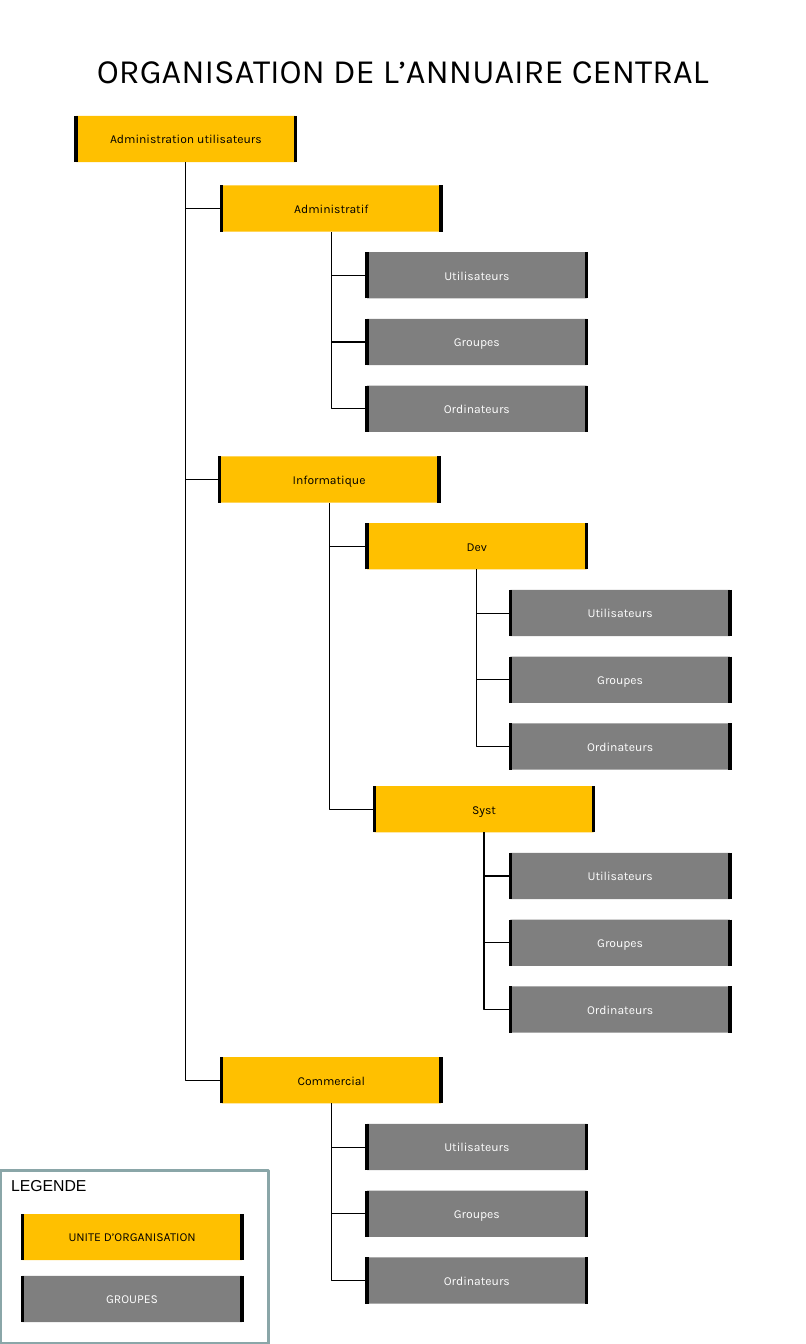
from pptx import Presentation
from pptx.dml.color import RGBColor
from pptx.enum.shapes import MSO_CONNECTOR as Link, MSO_SHAPE as Preset
from pptx.enum.text import MSO_ANCHOR as Anchor, PP_ALIGN as Align
from pptx.oxml.ns import qn
from pptx.util import Cm, Pt
from lxml.etree import SubElement

BLACK = RGBColor(0x00, 0x00, 0x00)
WHITE = RGBColor(0xFF, 0xFF, 0xFF)
AMBER = RGBColor(0xFF, 0xC0, 0x00)
TEAL = RGBColor(0x8A, 0xA6, 0xA8)

# Lengths in centimetres
BOX_WIDTH, BOX_HEIGHT, ROW_STEP = 4.9, 1.03, 1.49
GROUP_NAMES = ("Utilisateurs", "Groupes", "Ordinateurs")


def write(shape, text, size=7.7, font="Karla", color=BLACK,
          align=Align.CENTER, anchor=Anchor.MIDDLE, wrap=False, margins=None):
    frame = shape.text_frame
    frame.word_wrap = wrap
    frame.vertical_anchor = anchor
    if margins:
        frame.margin_left = frame.margin_right = Cm(margins[0])
        frame.margin_top = frame.margin_bottom = Cm(margins[1])
    paragraph = frame.paragraphs[0]
    paragraph.alignment = align
    run = paragraph.add_run()
    run.text = text
    run.font.size = Pt(size)
    run.font.name = font
    run.font.color.rgb = color


class Chart:
    """Holds the current slide and draws each kind of element on it."""

    def __init__(self, slide):
        self.slide = slide

    def shape(self, preset, left, top, width, height, fill, line, weight):
        shape = self.slide.shapes.add_shape(
            preset, Cm(left), Cm(top), Cm(width), Cm(height))
        shape.shadow.inherit = False
        shape.fill.solid()
        shape.fill.fore_color.rgb = fill
        shape.line.color.rgb = line
        shape.line.width = Pt(weight)
        return shape

    def label(self, text, left, top, width, height, **style):
        box = self.slide.shapes.add_textbox(
            Cm(left), Cm(top), Cm(width), Cm(height))
        write(box, text, **style)

    def box(self, text, left, top, fill, color):
        shape = self.shape(Preset.DOUBLE_BRACKET, left, top,
                           BOX_WIDTH, BOX_HEIGHT, fill, BLACK, 2.25)
        shape.adjustments[0] = 0
        write(shape, text, color=color, margins=(0.05, 0.03))
        return shape

    def unit(self, text, left, top):
        self.box(text, left, top, AMBER, BLACK)

    def group(self, text, left, top):
        shape = self.box(text, left, top, BLACK, WHITE)
        fill_color = shape.fill._xPr.find(qn("a:solidFill"))[0]
        SubElement(fill_color, qn("a:alpha")).set("val", "50000")

    def branch(self, parent, child):
        """Link the bottom centre of parent to the left middle of child."""
        connector = self.slide.shapes.add_connector(
            Link.ELBOW,
            Cm(parent[0] + BOX_WIDTH / 2), Cm(parent[1] + BOX_HEIGHT),
            Cm(child[0]), Cm(child[1] + BOX_HEIGHT / 2))
        connector.line.color.rgb = BLACK
        connector.line.width = Pt(0.75)
        properties = connector._element.spPr
        # Single bend, turned half a circle so that it runs down, then right
        properties.find(qn("a:prstGeom")).set("prst", "bentConnector2")
        properties.find(qn("a:xfrm")).set("rot", "10800000")
        SubElement(properties, qn("a:effectLst"))


presentation = Presentation()
presentation.slide_width, presentation.slide_height = Cm(18), Cm(30)
chart = Chart(presentation.slides.add_slide(presentation.slide_layouts[6]))

# Legend frame and title
chart.shape(Preset.RECTANGLE, 0, 26.13, 6, 3.87, WHITE, TEAL, 2)
chart.label("ORGANISATION DE L’ANNUAIRE CENTRAL", 0.5, 1, 17, 1.14,
            size=21.6, anchor=Anchor.BOTTOM, wrap=True)

# Organisational units: name, parent, position, left edge of their groups
units = (
    ("Administration utilisateurs", None, (1.7, 2.59), None),
    ("Administratif", "Administration utilisateurs", (4.95, 4.14), 8.2),
    ("Informatique", "Administration utilisateurs", (4.9, 10.19), None),
    ("Dev", "Informatique", (8.2, 11.68), 11.4),
    ("Syst", "Informatique", (8.36, 17.55), 11.4),
    ("Commercial", "Administration utilisateurs", (4.95, 23.6), 8.2),
)
places = {name: place for name, _, place, _ in units}
for name, parent, place, group_left in units:
    if parent:
        chart.branch(places[parent], place)
    chart.unit(name, *place)
    if group_left:
        for row, group_name in enumerate(GROUP_NAMES, start=1):
            group_place = (group_left, place[1] + row * ROW_STEP)
            chart.branch(place, group_place)
            chart.group(group_name, *group_place)

# Legend entries
chart.label("LEGENDE", 0, 26.11, 2.2, 0.69, size=10, font="Arial",
            align=Align.LEFT, anchor=Anchor.TOP)
chart.unit("UNITE D’ORGANISATION", 0.5, 27.1)
chart.group("GROUPES", 0.5, 28.48)

presentation.save("out.pptx")
